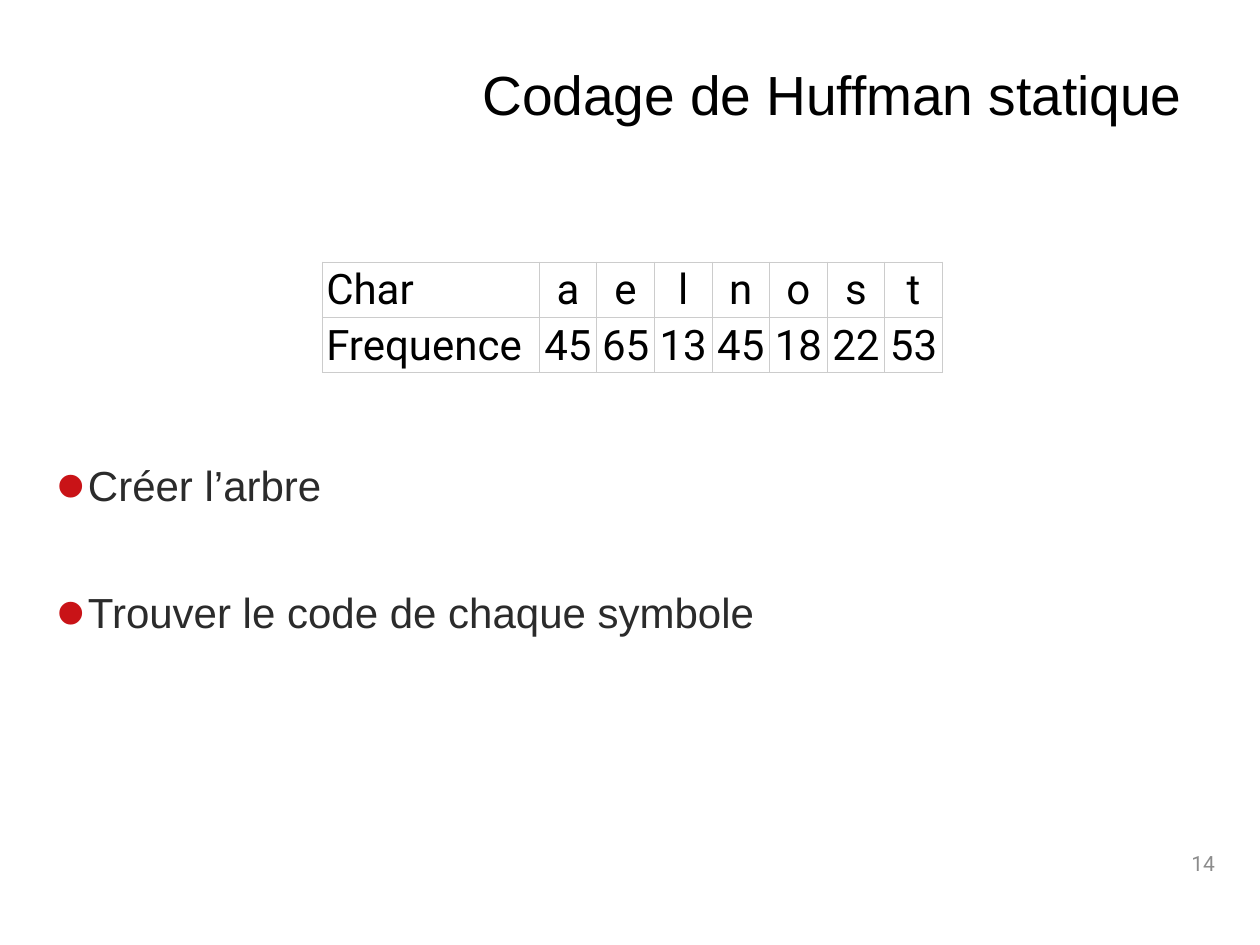
from lxml import etree
from pptx import Presentation
from pptx.dml.color import RGBColor
from pptx.enum.text import MSO_ANCHOR, PP_ALIGN
from pptx.oxml.ns import qn
from pptx.util import Inches, Pt

LEFT, CENTER, RIGHT = PP_ALIGN.LEFT, PP_ALIGN.CENTER, PP_ALIGN.RIGHT
TOP, MIDDLE, BOTTOM = MSO_ANCHOR.TOP, MSO_ANCHOR.MIDDLE, MSO_ANCHOR.BOTTOM

COLORS = {
    "title": "000000",
    "body": "2B2B2B",
    "bullet": "C91317",
    "number": "8C8C8C",
    "border": "CCCCCC",
}
ROWS = [
    ["Char", "a", "e", "l", "n", "o", "s", "t"],
    ["Frequence", "45", "65", "13", "45", "18", "22", "53"],
]
TASKS = ["Créer l’arbre", "Trouver le code de chaque symbole"]


def style(par, face, size, color, align=LEFT):
    """Set the font and alignment of a paragraph."""
    par.alignment = align
    par.font.name = face
    par.font.size = Pt(size)
    par.font.color.rgb = RGBColor.from_string(COLORS[color])


def add_box(slide, box, anchor):
    """Add a wrapping text box and return its text frame."""
    frame = slide.shapes.add_textbox(*map(Inches, box)).text_frame
    frame.word_wrap = True
    frame.vertical_anchor = anchor
    return frame


def add_title(slide, box, text):
    """Place the slide title."""
    par = add_box(slide, box, MIDDLE).paragraphs[0]
    par.text = text
    par.line_spacing = 0.9
    style(par, "Arial", 31.5, "title")


def add_number(slide, box, text):
    """Place the page number."""
    par = add_box(slide, box, MIDDLE).paragraphs[0]
    par.text = text
    style(par, "Roboto", 12, "number", RIGHT)


def add_bullet(par):
    """Give a paragraph a large coloured bullet and a hanging indent."""
    props = par._p.get_or_add_pPr()
    props.set("marL", str(Inches(0.25)))
    props.set("indent", str(-Inches(0.25)))
    color = etree.SubElement(props, qn("a:buClr"))
    etree.SubElement(color, qn("a:srgbClr"), val=COLORS["bullet"])
    etree.SubElement(props, qn("a:buSzPct"), val="200000")
    etree.SubElement(props, qn("a:buFont"), typeface="Arial")
    etree.SubElement(props, qn("a:buChar"), char="•")


def add_tasks(slide, box, tasks):
    """Place the list of tasks."""
    frame = add_box(slide, box, TOP)
    for i, task in enumerate(tasks):
        par = frame.add_paragraph() if i else frame.paragraphs[0]
        par.text = task
        par.line_spacing = 0.9
        par.space_before = Pt(47 if i else 0)
        style(par, "Arial", 24, "body")
        add_bullet(par)


def add_border(cell):
    """Draw a thin line on all four sides of a cell."""
    props = cell._tc.get_or_add_tcPr()
    for i, side in enumerate(("lnL", "lnR", "lnT", "lnB")):
        line = etree.Element(qn(f"a:{side}"), w=str(Pt(0.6)))
        fill = etree.SubElement(line, qn("a:solidFill"))
        etree.SubElement(fill, qn("a:srgbClr"), val=COLORS["border"])
        props.insert(i, line)


def add_counts(slide, box, rows, first):
    """Place the frequency table, with a wide first column."""
    count = len(rows[0])
    table = slide.shapes.add_table(len(rows), count, *map(Inches, box)).table
    table.first_row = table.horz_banding = False
    for c, col in enumerate(table.columns):
        col.width = Inches((box[2] - first) / (count - 1) if c else first)
    for r, row in enumerate(rows):
        for c, text in enumerate(row):
            cell = table.cell(r, c)
            cell.text = text
            cell.fill.background()
            cell.vertical_anchor = BOTTOM
            cell.margin_left = cell.margin_right = Inches(0.03)
            cell.margin_top = cell.margin_bottom = Inches(0.02)
            par = cell.text_frame.paragraphs[0]
            style(par, "Roboto", 24, "title", CENTER if c else LEFT)
            add_border(cell)


def main():
    """Build the slide and save it."""
    deck = Presentation()
    deck.slide_width, deck.slide_height = Inches(10), Inches(7.5)
    slide = deck.slides.add_slide(deck.slide_layouts[6])
    add_tasks(slide, (0.35, 3.64, 9.34, 2.9), TASKS)
    add_title(slide, (3.73, 0.25, 5.96, 1.05), "Codage de Huffman statique")
    add_number(slide, (7.49, 6.65, 2.25, 0.4), "14")
    add_counts(slide, (2.56, 2.08, 4.92, 0.85), ROWS, 1.72)
    deck.save("out.pptx")


if __name__ == "__main__":
    main()
